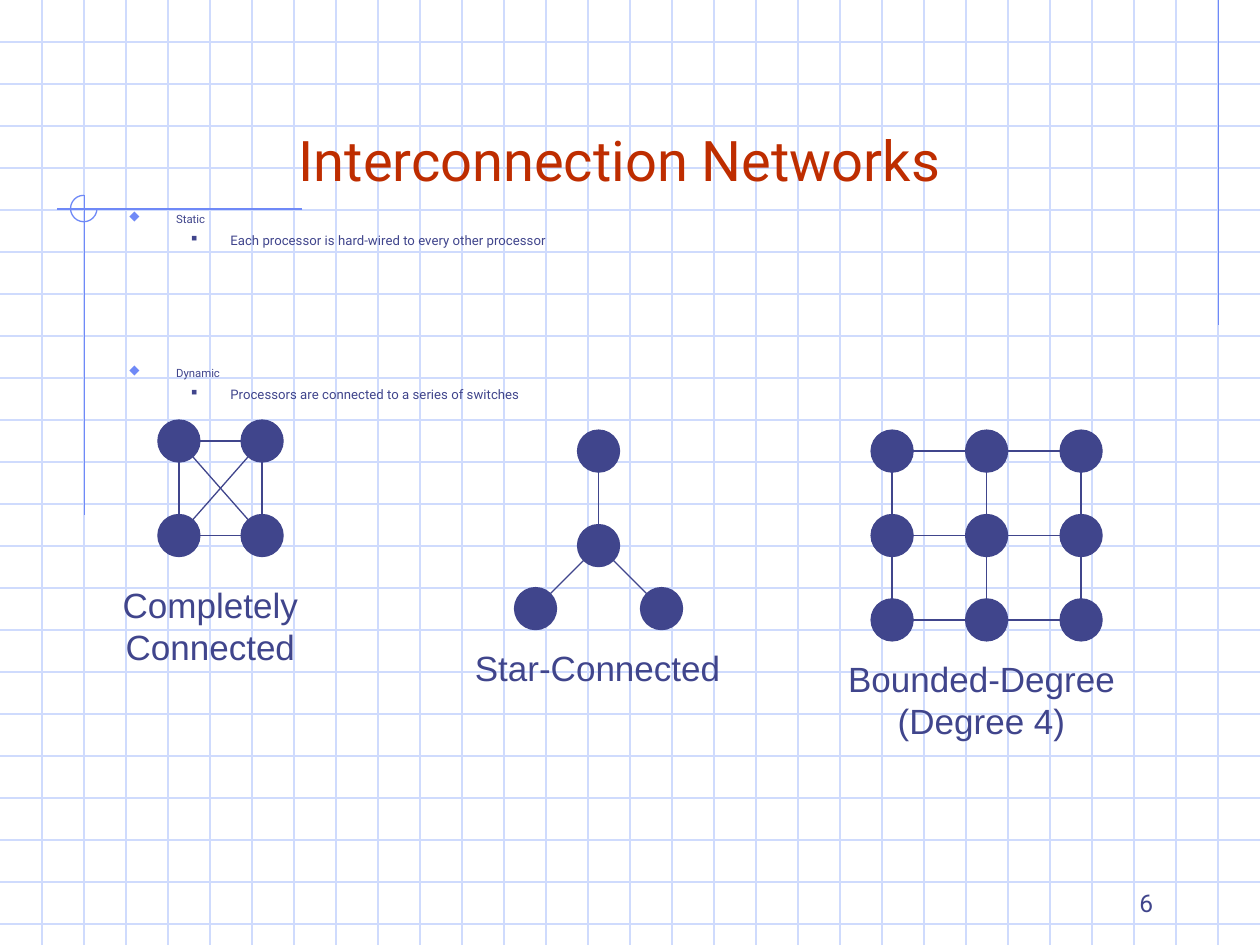
from itertools import combinations
from math import hypot

from lxml import etree
from pptx import Presentation
from pptx.dml.color import RGBColor
from pptx.enum.shapes import MSO_CONNECTOR as Conn, MSO_SHAPE as Shape
from pptx.enum.text import MSO_ANCHOR as Anchor, PP_ALIGN as Align
from pptx.oxml import parse_xml
from pptx.oxml.ns import nsdecls, qn
from pptx.util import Inches, Pt

INK, BLUE, PALE, RED = "40458C", "6F89F7", "CFDBFD", "BE2D00"
RAD = 1 / 6

deck = Presentation()
deck.slide_width, deck.slide_height = Inches(10), Inches(7.5)
slide = deck.slides.add_slide(deck.slide_layouts[6])
shapes = slide.shapes


def line(a, b, hue=INK, trim=0):
    """Join points a and b, cutting trim inches off each end."""
    (x1, y1), (x2, y2) = a, b
    part = trim / hypot(x2 - x1, y2 - y1)
    dx, dy = (x2 - x1) * part, (y2 - y1) * part
    ends = (x1 + dx, y1 + dy, x2 - dx, y2 - dy)
    link = shapes.add_connector(Conn.STRAIGHT, *map(Inches, ends))
    link.line.color.rgb = RGBColor.from_string(hue)
    link.line.width = Pt(0.75)
    etree.SubElement(link._element.spPr, qn("a:effectLst"))


def write(box, lines, size, face="Roboto", hue=INK, align=Align.LEFT, anchor=Anchor.TOP):
    """Put lines of text in a box given as left, top, width, height."""
    frame = shapes.add_textbox(*map(Inches, box)).text_frame
    frame.word_wrap = True
    frame.vertical_anchor = anchor
    frame.text = "\n".join(lines)
    for para in frame.paragraphs:
        para.alignment = align
        para.font.size = Pt(size)
        para.font.name = face
        para.font.color.rgb = RGBColor.from_string(hue)


# Background grid and corner marks
for i in range(1, 23):
    line((0, i / 3), (10, i / 3), PALE)
for i in range(1, 30):
    line((i / 3, 0), (i / 3, 7.5), PALE)
line((9.67, 0), (9.67, 2.58), BLUE)
line((2.4, 1.66), (0.45, 1.66), BLUE)
line((0.67, 1.55), (0.67, 4.09), BLUE)
arc = shapes.add_shape(Shape.ARC, *map(Inches, (0.56, 1.55, 0.21, 0.21)))
arc.adjustments[0], arc.adjustments[1] = 0, 162  # 0 to 270 degrees
arc.shadow.inherit = False
arc.fill.background()
arc.line.color.rgb = RGBColor.from_string(BLUE)
arc.line.width = Pt(0.75)

write((0.67, 0.33, 8.5, 1.25), ["Interconnection Networks"], 32,
      hue=RED, align=Align.CENTER, anchor=Anchor.BOTTOM)

# Bulleted text: level, space before, words
points = [
    (0, 0, "Static"),
    (1, 7.5, "Each processor is hard-wired to every other processor"),
    (0, 70.4, "Dynamic"),
    (1, 7.5, "Processors are connected to a series of switches"),
]
# Per level: left edge, hanging indent, bullet, its colour and percent, text size
# In Wingdings, u is a diamond and n is a square
styles = [(0.38, 0.38, "u", BLUE, 110, 6.5), (0.81, 0.31, "n", INK, 60, 7.5)]
body = shapes.add_textbox(*map(Inches, (0.92, 1.67, 8.5, 2.02))).text_frame
body.word_wrap = True
body.text = "\n".join(words for *_, words in points)
for para, (level, gap, _) in zip(body.paragraphs, points):
    left, hang, mark, hue, pct, size = styles[level]
    props = para._p.get_or_add_pPr()
    props.set("marL", str(Inches(left)))
    props.set("indent", str(-Inches(hang)))
    for xml in (f'<a:buClr {nsdecls("a")}><a:srgbClr val="{hue}"/></a:buClr>',
                f'<a:buSzPct {nsdecls("a")} val="{pct * 1000}"/>',
                f'<a:buFont {nsdecls("a")} typeface="Wingdings" pitchFamily="2" charset="2"/>',
                f'<a:buChar {nsdecls("a")} char="{mark}"/>'):
        props.append(parse_xml(xml))
    para.level = level
    para.line_spacing = 0.6
    para.space_before = Pt(gap)
    para.font.size = Pt(size)
    para.font.name = "Roboto"
    para.font.color.rgb = RGBColor.from_string(INK)

# Processors, by centre
full = [(x, y) for y in (3.5, 4.25) for x in (1.42, 2.08)]
hub = (4.75, 4.33)
tips = [(4.75, 3.58), (5.25, 4.83), (4.25, 4.83)]
cols, rows = (7.08, 7.83, 8.58), (3.58, 4.25, 4.92)
mesh = [(x, y) for x in cols for y in rows]
for x, y in full + [hub] + tips + mesh:
    node = shapes.add_shape(Shape.OVAL, Inches(x - RAD), Inches(y - RAD),
                            Inches(2 * RAD), Inches(2 * RAD))
    node.shadow.inherit = False
    node.fill.solid()
    node.fill.fore_color.rgb = RGBColor.from_string(INK)
    node.line.color.rgb = RGBColor.from_string(INK)
    node.line.width = Pt(0.75)

# Links
for a, b in combinations(full, 2):
    line(a, b, trim=RAD)
for tip in tips:
    line(hub, tip, trim=RAD)
for x in cols:
    line((x, rows[0]), (x, rows[-1]))
for y in rows:
    line((cols[0], y), (cols[-1], y))

# Captions and page number
write((0.67, 4.58, 2, 0.77), ["Completely Connected"], 20, "Arial", align=Align.CENTER)
write((3.67, 5.08, 2.25, 0.44), ["Star-Connected"], 20, "Arial")
write((6.33, 5.17, 2.92, 0.77), ["Bounded-Degree (Degree 4)"], 20, "Arial", align=Align.CENTER)
write((7.17, 6.83, 2.08, 0.5), ["6"], 14, align=Align.RIGHT, anchor=Anchor.BOTTOM)

deck.save("out.pptx")
